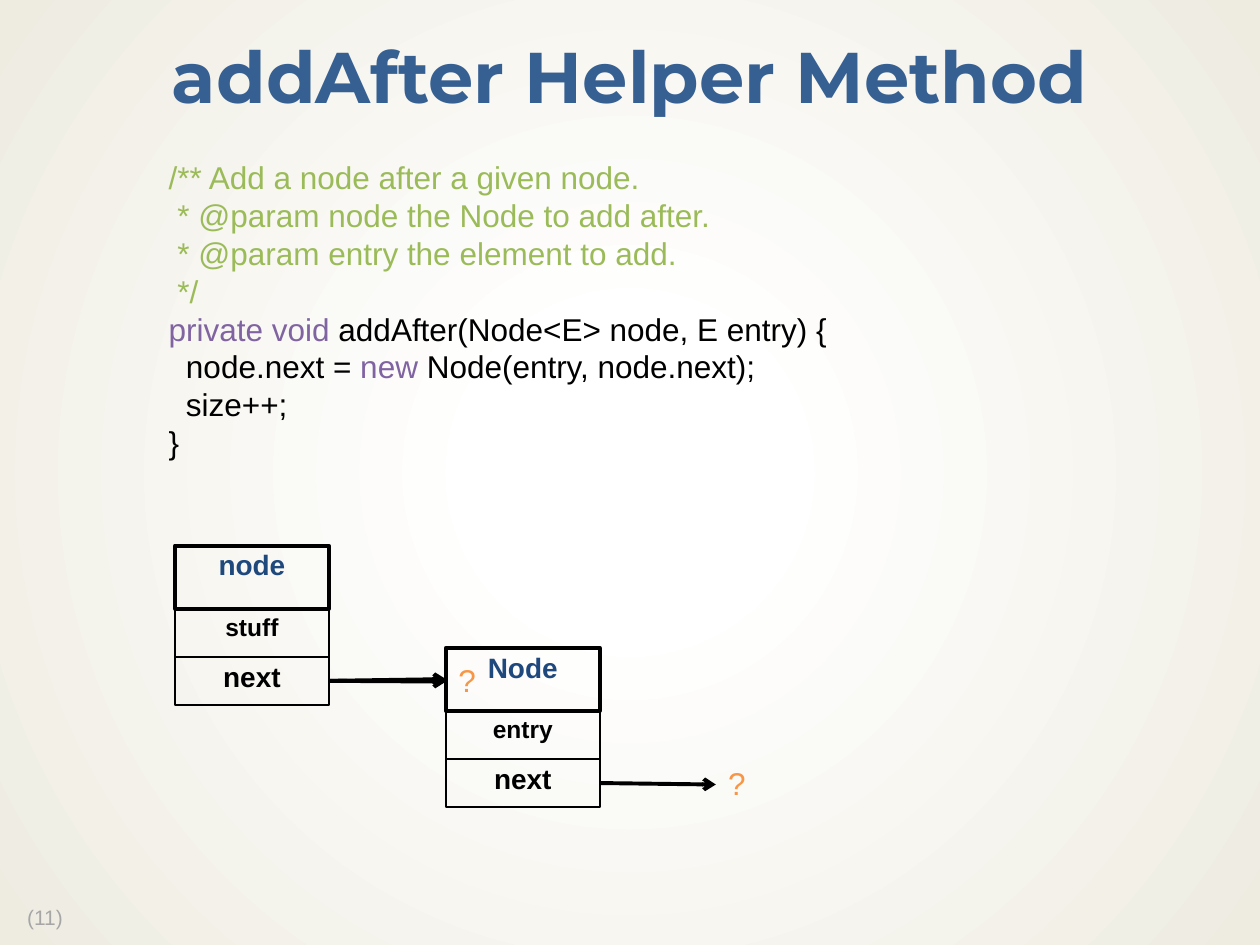
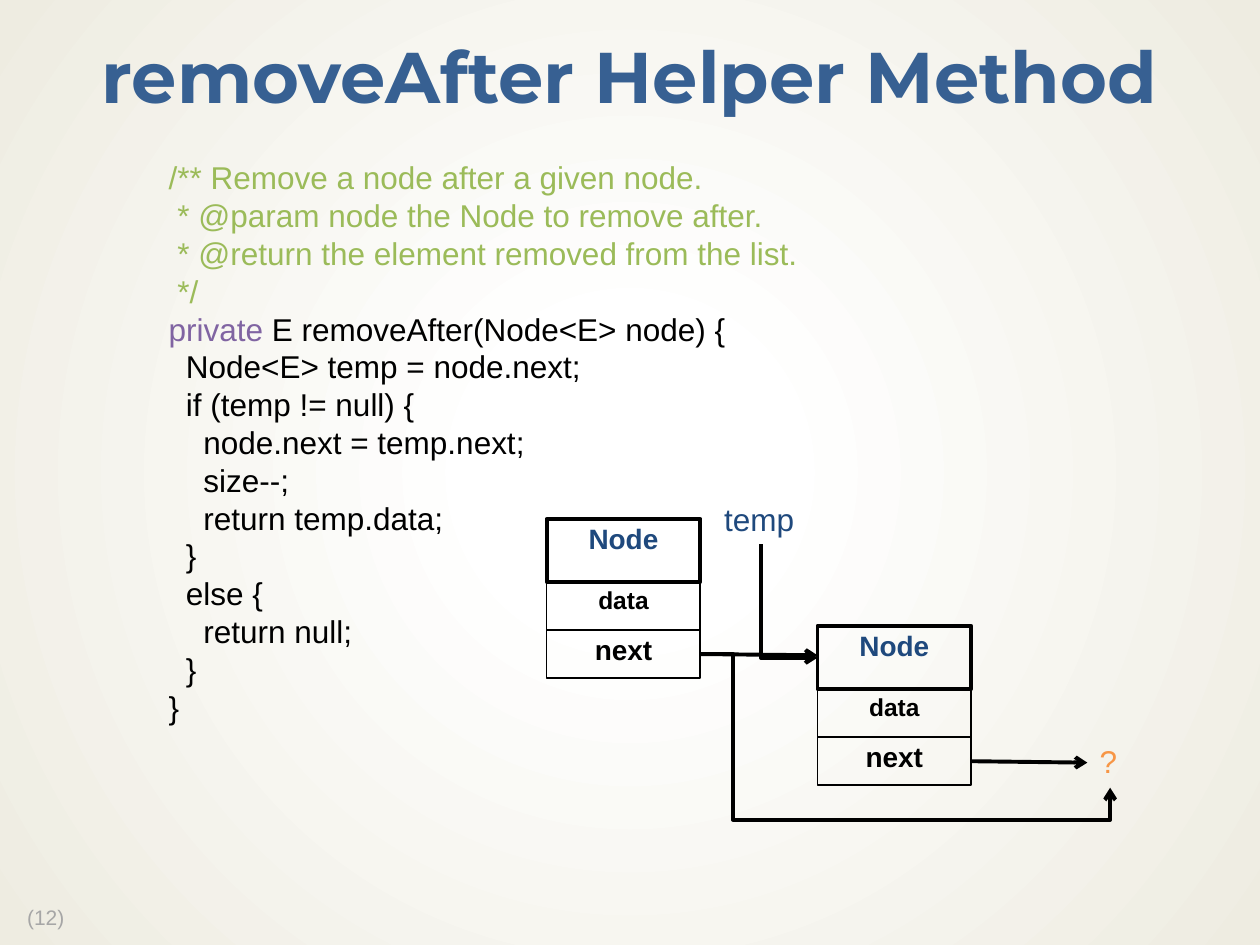
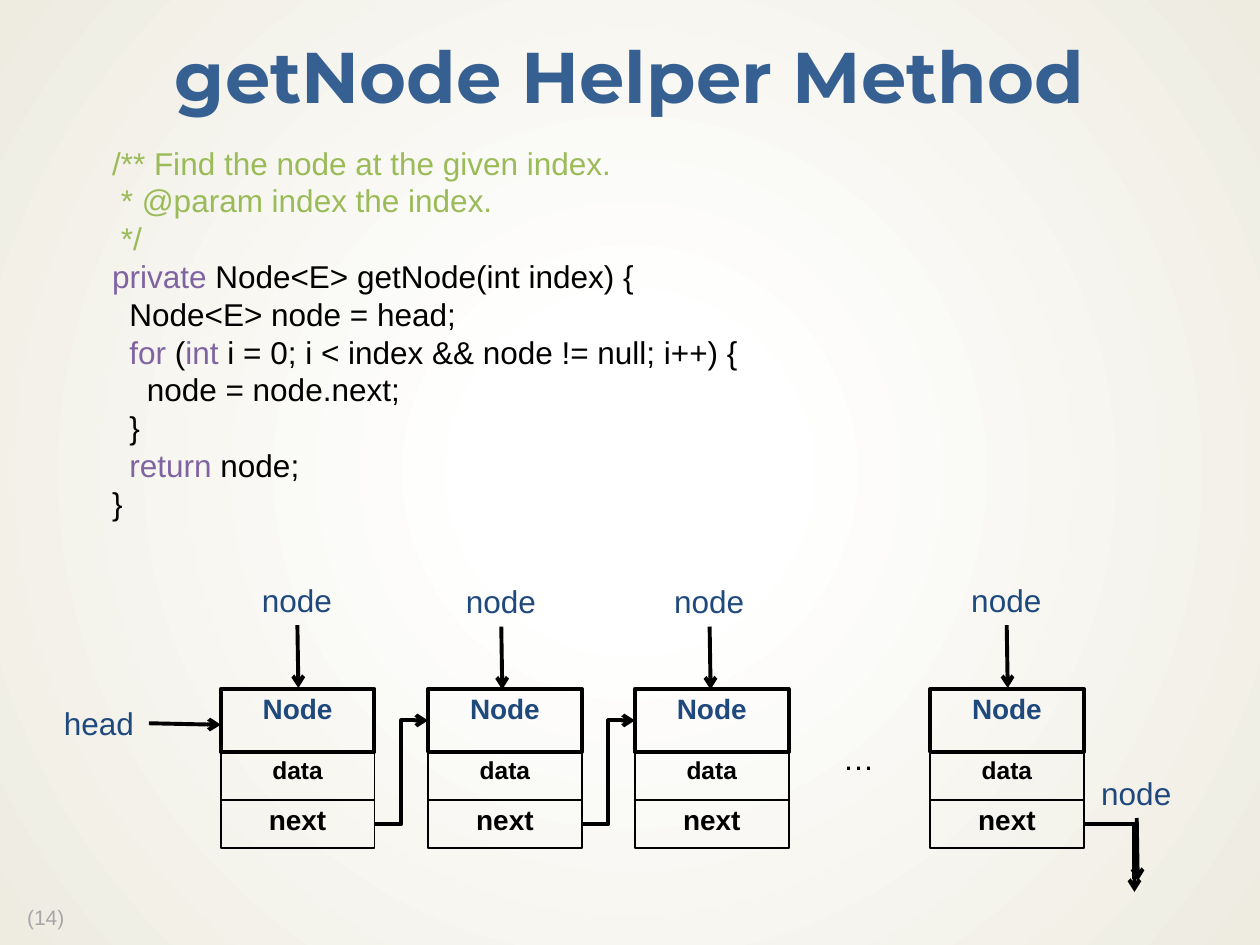
"""Build three slides on the helper methods of a linked list."""
from pptx import Presentation
from pptx.dml.color import RGBColor
from pptx.enum import shapes, text
from pptx.oxml import parse_xml
from pptx.oxml.ns import nsdecls, qn
from pptx.util import Cm, Pt

COLOURS = {
    "title": "376092", "label": "1F497D", "comment": "9BBB59", "keyword": "8064A2",
    "black": "000000", "unknown": "F79646", "footer": "A6A6A6",
    "centre": "FFFFFF", "edge": "EEECE1",
}
BODY_FONT, TITLE_FONT = "Arial", "Montserrat"
NODE_WIDTH, HEAD_HEIGHT, ROW_HEIGHT = 3.1, 1.27, 0.97
NEXT_DROP = HEAD_HEIGHT + 1.5 * ROW_HEIGHT
LABEL_WIDTH, LABEL_HEIGHT = 1.93, 1.02
INDENT = 0.35

ADD_CODE = """/** Add a node after a given node.
 * @param node the Node to add after.
 * @param entry the element to add.
 */
`private void `addAfter(Node<E> node, E entry) {
  node.next = `new` Node(entry, node.next);
  size++;
}"""
REMOVE_CODE = """/** Remove a node after a given node.
 * @param node the Node to remove after.
 * @return the element removed from the list.
 */
`private `E removeAfter(Node<E> node) {
  Node<E> temp = node.next;
  if (temp != null) {
    node.next = temp.next;
    size--;
    return temp.data;
  }
  else {
    return null;
  }
}"""
GET_CODE = """/** Find the node at the given index.
 * @param index the index.
 */
`private` Node<E> getNode(int index) {
  Node<E> node = head;
  `for` (`int `i = 0; i < index && node != null; i++) {
    node = node.next;
  }
  `return` node;
}"""


def colour(name):
    """Return the named colour."""
    return RGBColor.from_string(COLOURS[name])


def style(font, size, colour_name, bold=False, name=BODY_FONT):
    """Set the look of a font."""
    font.name, font.size, font.bold = name, Pt(size), bold
    font.color.rgb = colour(colour_name)


def set_background(presentation):
    """Give the slide master its radial gradient."""
    background = presentation.slide_master._element.cSld.get_or_add_bgPr()
    background.replace(background[0], parse_xml(
        f'<a:gradFill {nsdecls("a")} rotWithShape="1"><a:gsLst>'
        f'<a:gs pos="18000"><a:srgbClr val="{COLOURS["centre"]}"><a:alpha val="53000"/></a:srgbClr></a:gs>'
        f'<a:gs pos="100000"><a:srgbClr val="{COLOURS["edge"]}"/></a:gs></a:gsLst>'
        '<a:path path="circle"><a:fillToRect l="50000" t="50000" r="50000" b="50000"/></a:path>'
        '</a:gradFill>'))


def add_text_box(slide, left, top, width, height):
    """Add an unwrapped text box and return its text frame."""
    frame = slide.shapes.add_textbox(Cm(left), Cm(top), Cm(width), Cm(height)).text_frame
    frame.word_wrap = False
    frame.auto_size = text.MSO_AUTO_SIZE.SHAPE_TO_FIT_TEXT
    return frame


def add_label(slide, words, left, top, width=LABEL_WIDTH, colour_name="label"):
    """Add a one-line label."""
    paragraph = add_text_box(slide, left, top, width, LABEL_HEIGHT).paragraphs[0]
    paragraph.text = words
    style(paragraph.font, 18, colour_name)


def add_unknown(slide, left, top):
    """Add a question mark for an unknown target."""
    add_label(slide, "?", left, top, 0.86, "unknown")


def add_slide(presentation, title, number):
    """Add a slide with its title and bracketed number."""
    slide = presentation.slides.add_slide(presentation.slide_layouts[5])
    shape = slide.shapes.title
    shape.left, shape.top, shape.width, shape.height = Cm(0), Cm(0.43), Cm(25.4), Cm(2.39)
    frame = shape.text_frame
    frame.auto_size = text.MSO_AUTO_SIZE.NONE
    frame.vertical_anchor = text.MSO_ANCHOR.MIDDLE
    frame.margin_left = frame.margin_right = Cm(0.33)
    frame.margin_top = frame.margin_bottom = Cm(0.15)
    paragraph = frame.paragraphs[0]
    paragraph.text = title
    paragraph.alignment = text.PP_ALIGN.CENTER
    paragraph.line_spacing = 0.9
    style(paragraph.font, 41, "title", True, TITLE_FONT)
    footer = add_text_box(slide, 0.18, 18.16, 1.42, 0.71).paragraphs[0]
    footer.text = f" ({number})"
    footer.line_spacing = 0.9
    style(footer.font, 12, "footer")
    return slide


def add_code(slide, code, left, top, width, height):
    """Add a code listing whose keywords stand between backticks."""
    frame = add_text_box(slide, left, top, width, height)
    for index, line in enumerate(code.split("\n")):
        paragraph = frame.add_paragraph() if index else frame.paragraphs[0]
        comment = line.startswith(("/*", " *"))
        if not comment:
            depth = (len(line) - len(line.lstrip())) // 2
            paragraph._p.get_or_add_pPr().set("marL", str(Cm(depth * INDENT)))
            line = line.lstrip()
        for position, piece in enumerate(line.split("`")):
            if piece:
                run = paragraph.add_run()
                run.text = piece
                plain = "comment" if comment else "black"
                style(run.font, 18, "keyword" if position % 2 else plain)


def add_node(slide, left, top, name="Node", content="data"):
    """Add a list node and return the point where its next arrow starts."""
    rows = [(name, HEAD_HEIGHT, 2.25, 16, "label"),
            (content, ROW_HEIGHT, 1, 14, "black"),
            ("next", ROW_HEIGHT, 1, 16, "black")]
    row_top = top
    for words, height, line_width, size, colour_name in rows:
        shape = slide.shapes.add_shape(shapes.MSO_SHAPE.RECTANGLE, Cm(left), Cm(row_top),
                                       Cm(NODE_WIDTH), Cm(height))
        shape.shadow.inherit = False
        shape.fill.background()
        shape.line.color.rgb = colour("black")
        shape.line.width = Pt(line_width)
        shape.text_frame.vertical_anchor = text.MSO_ANCHOR.TOP
        paragraph = shape.text_frame.paragraphs[0]
        paragraph.text = words
        paragraph.alignment = text.PP_ALIGN.CENTER
        paragraph.line_spacing = 0.9
        style(paragraph.font, size, colour_name, True)
        row_top += height
    return left + NODE_WIDTH, top + NEXT_DROP


def add_arrow(slide, start, end, kind=shapes.MSO_CONNECTOR.STRAIGHT):
    """Add a black arrow and return its connector."""
    connector = slide.shapes.add_connector(kind, *map(Cm, start + end))
    connector.line.color.rgb = colour("black")
    connector.line.width = Pt(2.25)
    line = connector.line._get_or_add_ln()
    line.append(parse_xml(f'<a:tailEnd {nsdecls("a")} type="arrow"/>'))
    connector._element.spPr.append(parse_xml(f'<a:effectLst {nsdecls("a")}/>'))
    return connector


def add_elbow(slide, start, end, preset="bentConnector3", adjustments=(), down_first=False):
    """Add a bent arrow, turned when it leaves downwards."""
    if down_first:
        middle = [(a + b) / 2 for a, b in zip(start, end)]
        half = (end[1] - start[1]) / 2, (end[0] - start[0]) / 2
        start = tuple(m - h for m, h in zip(middle, half))
        end = tuple(m + h for m, h in zip(middle, half))
    connector = add_arrow(slide, start, end, shapes.MSO_CONNECTOR.ELBOW)
    properties = connector._element.spPr
    if down_first:
        frame = properties.find(qn("a:xfrm"))
        frame.set("rot", "16200000")
        frame.set("flipH", "1")
    guides = "".join(f'<a:gd name="adj{n}" fmla="val {round(value * 100000)}"/>'
                     for n, value in enumerate(adjustments, 1))
    properties.replace(properties.find(qn("a:prstGeom")), parse_xml(
        f'<a:prstGeom {nsdecls("a")} prst="{preset}"><a:avLst>{guides}</a:avLst></a:prstGeom>'))


def add_pointer(slide, words, left, top):
    """Add a label with an arrow pointing down from it."""
    add_label(slide, words, left, top)
    middle, start = left + LABEL_WIDTH / 2, top + LABEL_HEIGHT
    add_arrow(slide, (middle, start), (middle + 0.02, start + 1.27))


def add_unknown_next(slide, start):
    """Add an arrow that leads to an unknown node."""
    x, y = start
    add_arrow(slide, start, (x + 2.34, y + 0.03))
    add_unknown(slide, x + 2.34, y - 0.51)


def build_add_after(presentation):
    """Build the slide on adding a node."""
    slide = add_slide(presentation, "addAfter Helper Method", 11)
    add_code(slide, ADD_CODE, 3.15, 3.07, 13.92, 6.4)
    start = add_node(slide, 3.53, 11, "node", "stuff")
    new_left = 8.99
    for end_y in (13.74, 13.69):
        add_arrow(slide, start, (new_left, end_y))
    add_unknown(slide, new_left, 13.2)
    add_unknown_next(slide, add_node(slide, new_left, 13.06, content="entry"))


def build_remove_after(presentation):
    """Build the slide on removing a node."""
    slide = add_slide(presentation, "removeAfter Helper Method", 12)
    add_code(slide, REMOVE_CODE, 3.15, 3.07, 13.31, 11.79)
    start = add_node(slide, 11.02, 10.46)
    removed_left = 16.48
    add_arrow(slide, start, (removed_left, 13.21))
    add_unknown_next(slide, add_node(slide, removed_left, 12.62))
    add_label(slide, "temp", 14.35, 9.96)
    add_elbow(slide, (15.34, 10.97), (removed_left, 13.26), "bentConnector2", down_first=True)
    add_elbow(slide, start, (22.38, 15.88), "bentConnector4", (0.08, 1.24))


def build_get_node(presentation):
    """Build the slide on finding a node."""
    slide = add_slide(presentation, "getNode Helper Method", 14)
    add_code(slide, GET_CODE, 2.01, 2.77, 13.26, 8.71)
    add_label(slide, "head", 1.04, 14.07)
    top, lefts = 13.89, (4.45, 8.63, 12.8, 18.75)
    add_arrow(slide, (3, 14.58), (lefts[0], 14.61))
    starts = [add_node(slide, left, top) for left in lefts]
    for start, left in zip(starts, lefts[1:3]):
        add_elbow(slide, start, (left, top + HEAD_HEIGHT / 2))
    add_elbow(slide, starts[-1], (22.87, 17.98), "bentConnector2")
    add_label(slide, "…", 16.74, 14.78, 1.14, "black")
    for left, label_top in zip((5.03, 9.14, 13.34, 19.33), (11.58, 11.61, 11.61, 11.58)):
        add_pointer(slide, "node", left, label_top)
    add_pointer(slide, "node", 21.95, 15.47)


def main():
    """Build and save the presentation."""
    presentation = Presentation()
    presentation.slide_width, presentation.slide_height = Cm(25.4), Cm(19.05)
    set_background(presentation)
    build_add_after(presentation)
    build_remove_after(presentation)
    build_get_node(presentation)
    presentation.save("out.pptx")


main()
